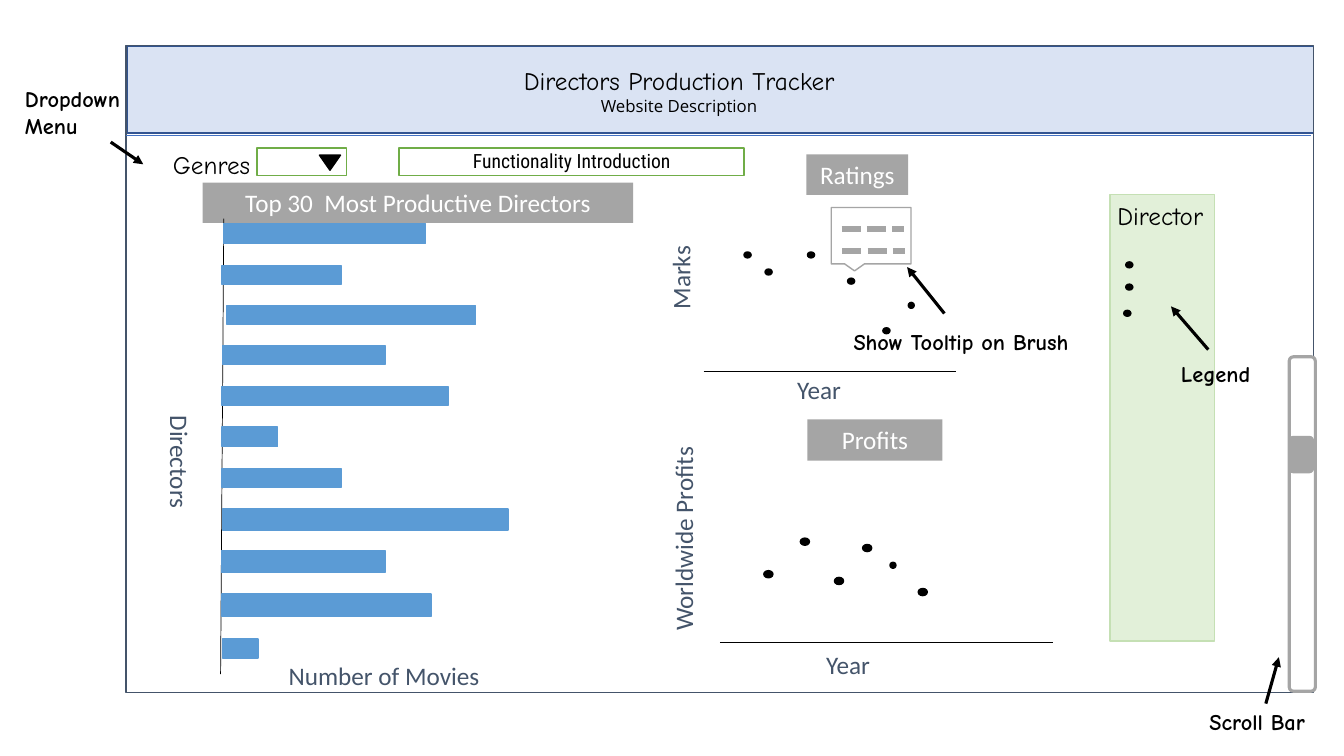
from lxml import etree
from pptx import Presentation
from pptx.dml.color import RGBColor
from pptx.enum import dml, shapes, text
from pptx.oxml import ns
from pptx.util import Cm, Pt

COLORS = {
    "black": "000000", "white": "FFFFFF", "gray": "A5A5A5", "slate": "44546A",
    "bar": "5B9BD5", "header": "DAE3F3", "header_edge": "325491",
    "rule": "4472C4", "legend": "E2F0D9", "legend_edge": "C5E0B4",
    "control": "70AD47",
}
KINDS = shapes.MSO_SHAPE
CENTER = text.PP_ALIGN.CENTER
BARS = [
    (5.64, 5.89, 5.08, 0.5), (5.6, 6.93, 3, 0.48), (5.72, 7.94, 6.27, 0.48),
    (5.61, 8.95, 4.09, 0.48), (5.6, 9.98, 5.69, 0.48), (5.6, 11.01, 1.4, 0.5),
    (5.6, 12.04, 3, 0.48), (5.61, 13.09, 7.19, 0.53), (5.59, 14.15, 4.11, 0.56),
    (5.6, 15.25, 5.26, 0.56), (5.61, 16.34, 0.89, 0.48),
]
RATING_DOTS = [(18.75, 6.35), (19.28, 6.78), (20.35, 6.35), (21.36, 7.01), (22.25, 8.26)]
PROFIT_DOTS = [(19.25, 14.38), (20.17, 13.56), (21.03, 14.55), (21.74, 13.72), (23.14, 14.83)]
SMALL_DOTS = [(22.89, 7.62), (22.43, 14.17)]
LEGEND_DOTS = [(28.37, 6.6), (28.37, 7.16), (28.32, 7.82)]


def rgb(name):
    return RGBColor.from_string(COLORS[name])


def add_box(s, box, fill=None, line=None, kind=KINDS.RECTANGLE, weight=1):
    sp = s.shapes.add_shape(kind, *map(Cm, box))
    sp.shadow.inherit = False
    if fill:
        sp.fill.solid()
        sp.fill.fore_color.rgb = rgb(fill)
    else:
        sp.fill.background()
    if line:
        sp.line.color.rgb = rgb(line)
        sp.line.width = Pt(weight)
    else:
        sp.line.fill.background()
    return sp


def write(p, content, font, size, color, bold=False, align=None):
    p.alignment = align
    r = p.add_run()
    r.text = content
    r.font.name = font
    r.font.size = Pt(size)
    r.font.bold = bold
    r.font.color.rgb = rgb(color)


def add_label(s, box, content, font="Calibri", size=18, color="slate",
              bold=False, align=None, vert=None):
    sp = s.shapes.add_textbox(*map(Cm, box))
    tf = sp.text_frame
    tf.word_wrap = True
    if vert:
        sp.element.txBody.find(ns.qn("a:bodyPr")).set("vert", vert)
    for i, words in enumerate(content.split("\n")):
        p = tf.add_paragraph() if i else tf.paragraphs[0]
        write(p, words, font, size, color, bold, align)
    return sp


def add_note(s, box, content):
    add_label(s, box, content, "Comic Neue", 16, "black", bold=True)


def add_banner(s, box, content):
    sp = add_box(s, box, "gray")
    tf = sp.text_frame
    tf.word_wrap = True
    tf.vertical_anchor = text.MSO_ANCHOR.TOP
    write(tf.paragraphs[0], content, "Calibri", 18, "white", align=CENTER)


def add_line(s, x1, y1, x2, y2, color="black", weight=0.5):
    line = s.shapes.add_connector(shapes.MSO_CONNECTOR.STRAIGHT, *map(Cm, (x1, y1, x2, y2)))
    line.line.color.rgb = rgb(color)
    line.line.width = Pt(weight)
    etree.SubElement(line.element.spPr, ns.qn("a:effectLst"))
    return line


def add_arrow(s, *ends):
    arrow = add_line(s, *ends, weight=2.25)
    ln = arrow.element.spPr.find(ns.qn("a:ln"))
    etree.SubElement(ln, ns.qn("a:tailEnd"), type="triangle")


def add_dots(s, points, width=0.18, height=0.15):
    for x, y in points:
        add_box(s, (x, y, width, height), "black", "black", KINDS.OVAL)


def add_bar_view(s):
    add_banner(s, (5.11, 4.6, 10.85, 1.02), "Top 30  Most Productive Directors")
    add_line(s, 5.64, 5.51, 5.56, 16.99)
    for left, middle, length, height in BARS:
        add_box(s, (left, middle - height / 2, length, height), "bar", "bar")
    add_label(s, (2.34, 11.1, 3.58, 1.83), "Directors").rotation = 90
    add_label(s, (4.17, 16.51, 11.02, 1.27), "Number of Movies", align=CENTER)


def add_profits_view(s):
    add_banner(s, (20.35, 10.57, 3.4, 1.04), "Profits")
    add_line(s, 18.14, 16.18, 26.54, 16.18)
    add_label(s, (20.57, 16.23, 5.21, 1.04), "Year")
    add_label(s, (16.71, 10.69, 1.45, 5.46), "Worldwide Profits", vert="vert270")
    add_dots(s, PROFIT_DOTS, 0.23, 0.18)


def add_ratings_view(s):
    for x, y in [(21.21, 5.77), (21.23, 6.32)]:
        row = add_line(s, x, y, x + 1.57, y, "gray", 4.5)
        row.line.dash_style = dml.MSO_LINE.SQUARE_DOT
    add_banner(s, (20.32, 3.89, 2.57, 1.02), "Ratings")
    add_line(s, 17.73, 9.35, 24.1, 9.35)
    add_label(s, (19.84, 9.32, 3.96, 1.02), "Year")
    add_label(s, (16.64, 4.01, 1.12, 4.04), "Marks", vert="vert270")
    add_note(s, (21.26, 8.15, 8.43, 0.94), "Show Tooltip on Brush")
    add_box(s, (20.95, 5.23, 2.01, 1.42), None, "gray", KINDS.RECTANGULAR_CALLOUT)
    add_dots(s, RATING_DOTS)
    add_arrow(s, 23.8, 7.9, 22.86, 6.73)


def add_scroll_bar(s):
    add_box(s, (32.49, 8.99, 0.66, 8.43), "white", "gray", KINDS.ROUNDED_RECTANGLE, 2.25)
    add_box(s, (32.49, 11, 0.61, 0.91), "gray", "gray", KINDS.ROUNDED_RECTANGLE)
    add_arrow(s, 31.9, 17.73, 32.23, 16.56)
    add_note(s, (30.23, 17.73, 3.6, 0.94), "Scroll Bar")


def add_title(s):
    add_line(s, 3.18, 3.4, 33.05, 3.4, "rule")
    sp = add_label(s, (8.86, 1.52, 16.51, 1.55), "Directors Production Tracker",
                   "Comic Neue", color="black", align=CENTER)
    p = sp.text_frame.add_paragraph()
    write(p, "Website Description", "Open Sans", 12, "black", align=CENTER)


def add_legend(s):
    add_box(s, (27.97, 4.9, 2.64, 11.25), "legend", "legend_edge")
    add_label(s, (27.91, 4.93, 3.02, 1.02), "Director", "Comic Neue", color="black")
    add_dots(s, LEGEND_DOTS)
    add_arrow(s, 30.45, 8.81, 29.51, 7.72)
    add_note(s, (29.51, 8.94, 4.3, 0.94), "Legend")


def add_controls(s):
    add_arrow(s, 2.79, 3.58, 3.61, 4.14)
    add_label(s, (4.11, 3.63, 3.91, 1.02), "Genres", "Comic Neue", color="black")
    add_note(s, (0.38, 2.03, 3.58, 1.63), "Dropdown\nMenu")
    add_box(s, (6.48, 3.73, 2.26, 0.69), "white", "control")
    add_box(s, (8.05, 3.91, 0.53, 0.38), "black", "black", KINDS.ISOSCELES_TRIANGLE).rotation = 180
    add_box(s, (10.06, 3.73, 8.69, 0.69), "white", "control")
    add_label(s, (10.13, 3.63, 8.56, 0.86), "Functionality Introduction",
              "Roboto Condensed", 14, "black", align=CENTER)


def main():
    prs = Presentation()
    prs.slide_width, prs.slide_height = Cm(33.87), Cm(19.05)
    s = prs.slides.add_slide(prs.slide_layouts[6])
    add_box(s, (3.2, 1.17, 29.9, 2.18), "header", "header_edge")
    add_bar_view(s)
    add_box(s, (3.18, 1.14, 29.92, 16.31), None, "slate")
    add_scroll_bar(s)
    add_dots(s, SMALL_DOTS, 0.15, 0.15)
    add_profits_view(s)
    add_ratings_view(s)
    add_title(s)
    add_legend(s)
    add_controls(s)
    prs.save("out.pptx")


main()
